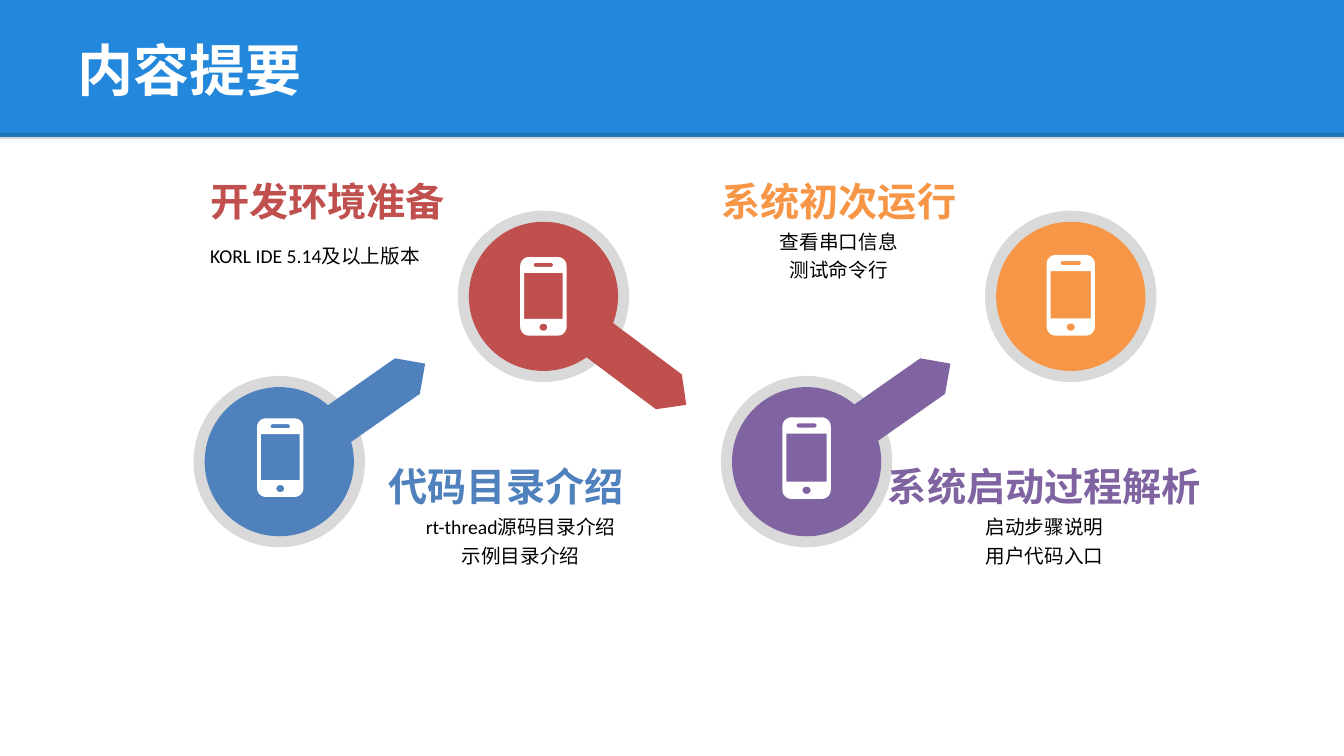
from dataclasses import dataclass
from math import cos, radians, sin

from lxml.etree import SubElement
from pptx import Presentation
from pptx.dml.color import RGBColor
from pptx.enum.shapes import MSO_CONNECTOR, MSO_SHAPE
from pptx.enum.text import MSO_ANCHOR, PP_ALIGN
from pptx.oxml.ns import qn
from pptx.util import Pt

EMU_PER_PX = 9144
SLIDE_WIDTH, SLIDE_HEIGHT = 1333, 750


@dataclass(frozen=True)
class Theme:
    band: str = "2388DB"
    rule: str = "000000"
    white: str = "FFFFFF"
    ring: str = "D9D9D9"
    body: str = "000000"
    blue: str = "4F81BD"
    red: str = "C0504D"
    purple: str = "8064A2"
    orange: str = "F79646"
    title_font: str = "Arial"
    text_font: str = "Calibri"
    title_size: int = 40
    heading_size: int = 28
    body_size: int = 14


@dataclass(frozen=True)
class Topic:
    """One step: text spans are (left, width), phone and arrow are boxes."""
    color: str
    ring: tuple
    phone: tuple
    heading: str
    heading_span: tuple
    lines: tuple
    body_span: tuple
    text_top: int
    body_indent: int = 0
    arrow: tuple = ()
    rotation: float = 0


THEME = Theme()
UPPER_TEXT, LOWER_TEXT = 181, 464
RING, DISC = 170, 148
HEADING_HEIGHT, BODY_HEIGHT = 36, 69
PHONE_GRID = (48, 80)
PHONE_PARTS = (  # left, top, width, height, corner radius on the grid
    (0, 0, 48, 80, 9),
    (4, 16, 40, 47, 0),
    (14, 6, 20, 4, 2),
    (20, 68, 8, 7, 3.5),
)

TOPICS = (
    Topic(THEME.blue, (192, 373), (255, 415, 46, 78), "代码目录介绍", (377, 250),
          ("rt-thread源码目录介绍", "示例目录介绍"), (370, 293), LOWER_TEXT,
          arrow=(318, 372, 114, 43), rotation=325),
    Topic(THEME.purple, (715, 373), (776, 414, 48, 81), "系统启动过程解析", (871, 330),
          ("启动步骤说明", "用户代码入口"), (925, 222), LOWER_TEXT,
          arrow=(839, 372, 114, 43), rotation=325),
    Topic(THEME.red, (454, 209), (516, 255, 46, 78), "开发环境准备", (186, 278),
          ("KORL IDE 5.14及以上版本",), (186, 237), UPPER_TEXT, body_indent=16,
          arrow=(578, 346, 114, 43), rotation=36.8),
    Topic(THEME.orange, (977, 209), (1038, 253, 48, 80), "系统初次运行", (707, 250),
          ("查看串口信息", "测试命令行"), (721, 222), UPPER_TEXT),
)


def px(value):
    return round(value * EMU_PER_PX)


def apply(target, values):
    for name, value in values.items():
        setattr(target, name, value)


def paint(shape, color):
    shape.shadow.inherit = False
    shape.fill.solid()
    shape.fill.fore_color.rgb = RGBColor.from_string(color)
    shape.line.fill.background()


def add_preset(slide, kind, box, color, rotation=0):
    shape = slide.shapes.add_shape(kind, *map(px, box))
    paint(shape, color)
    shape.rotation = rotation


def add_text(slide, box, lines, frame_format, paragraph_format, font_format, color):
    frame = slide.shapes.add_textbox(*map(px, box)).text_frame
    apply(frame, {"vertical_anchor": MSO_ANCHOR.MIDDLE, "margin_left": 0,
                  "margin_right": 0, "margin_top": 0, "margin_bottom": 0,
                  "word_wrap": True, **frame_format})
    for index, line in enumerate(lines):
        paragraph = frame.add_paragraph() if index else frame.paragraphs[0]
        apply(paragraph, paragraph_format)
        run = paragraph.add_run()
        run.text = line
        apply(run.font, font_format)
        run.font.color.rgb = RGBColor.from_string(color)


def add_rule(slide, top):
    """Draw the translucent line under the title band."""
    rule = slide.shapes.add_connector(
        MSO_CONNECTOR.STRAIGHT, 0, px(top), px(SLIDE_WIDTH), px(top))
    rule.line.width = Pt(4.5)
    rule.line.color.rgb = RGBColor.from_string(THEME.rule)
    properties = rule._element.spPr
    color = next(properties.iter(qn("a:srgbClr")))
    SubElement(color, qn("a:alpha"), val="15000")
    SubElement(properties, qn("a:effectLst"))


def rounded_outline(left, top, width, height, radius):
    """Return the corner points of a rectangle, with each corner as an arc."""
    if not radius:
        return [(left, top), (left + width, top),
                (left + width, top + height), (left, top + height)]
    near_x, far_x = left + radius, left + width - radius
    near_y, far_y = top + radius, top + height - radius
    centers = ((near_x, near_y), (far_x, near_y), (far_x, far_y), (near_x, far_y))
    return [(x + radius * cos(radians(angle)), y + radius * sin(radians(angle)))
            for corner, (x, y) in enumerate(centers)
            for angle in range(180 + 90 * corner, 271 + 90 * corner, 15)]


def add_phone(slide, box):
    left, top, width, height = box
    builder = None
    for part in PHONE_PARTS:
        points = [(px(left + x * width / PHONE_GRID[0]),
                   px(top + y * height / PHONE_GRID[1]))
                  for x, y in rounded_outline(*part)]
        if builder is None:
            builder = slide.shapes.build_freeform(*points[0])
        else:
            builder.move_to(*points[0])
        builder.add_line_segments(points[1:], close=True)
    paint(builder.convert_to_shape(), THEME.white)


def add_title(slide, text):
    add_preset(slide, MSO_SHAPE.RECTANGLE, (0, 0, SLIDE_WIDTH, 136), THEME.band)
    add_rule(slide, 135)
    add_text(slide, (67, 6, 1200, 125), [text], {"margin_left": px(10)}, {},
             {"name": THEME.title_font, "size": Pt(THEME.title_size), "bold": True},
             THEME.white)


def add_topic(slide, topic):
    left, top = topic.ring
    inset = (RING - DISC) // 2
    add_preset(slide, MSO_SHAPE.OVAL, (left, top, RING, RING), THEME.ring)
    add_preset(slide, MSO_SHAPE.OVAL, (left + inset, top + inset, DISC, DISC), topic.color)
    if topic.arrow:
        add_preset(slide, MSO_SHAPE.PENTAGON, topic.arrow, topic.color, topic.rotation)
    add_phone(slide, topic.phone)

    left, width = topic.body_span
    add_text(slide, (left, topic.text_top + HEADING_HEIGHT, width, BODY_HEIGHT),
             topic.lines, {"margin_left": px(topic.body_indent)},
             {"alignment": PP_ALIGN.CENTER, "line_spacing": 1.2},
             {"name": THEME.text_font, "size": Pt(THEME.body_size)}, THEME.body)
    left, width = topic.heading_span
    add_text(slide, (left, topic.text_top, width, HEADING_HEIGHT),
             [topic.heading], {"word_wrap": False}, {"alignment": PP_ALIGN.CENTER},
             {"name": THEME.text_font, "size": Pt(THEME.heading_size), "bold": True},
             topic.color)


def main():
    presentation = Presentation()
    apply(presentation, {"slide_width": px(SLIDE_WIDTH), "slide_height": px(SLIDE_HEIGHT)})
    slide = presentation.slides.add_slide(presentation.slide_layouts[6])
    add_title(slide, "内容提要")
    for topic in TOPICS:
        add_topic(slide, topic)
    presentation.save("out.pptx")


if __name__ == "__main__":
    main()
